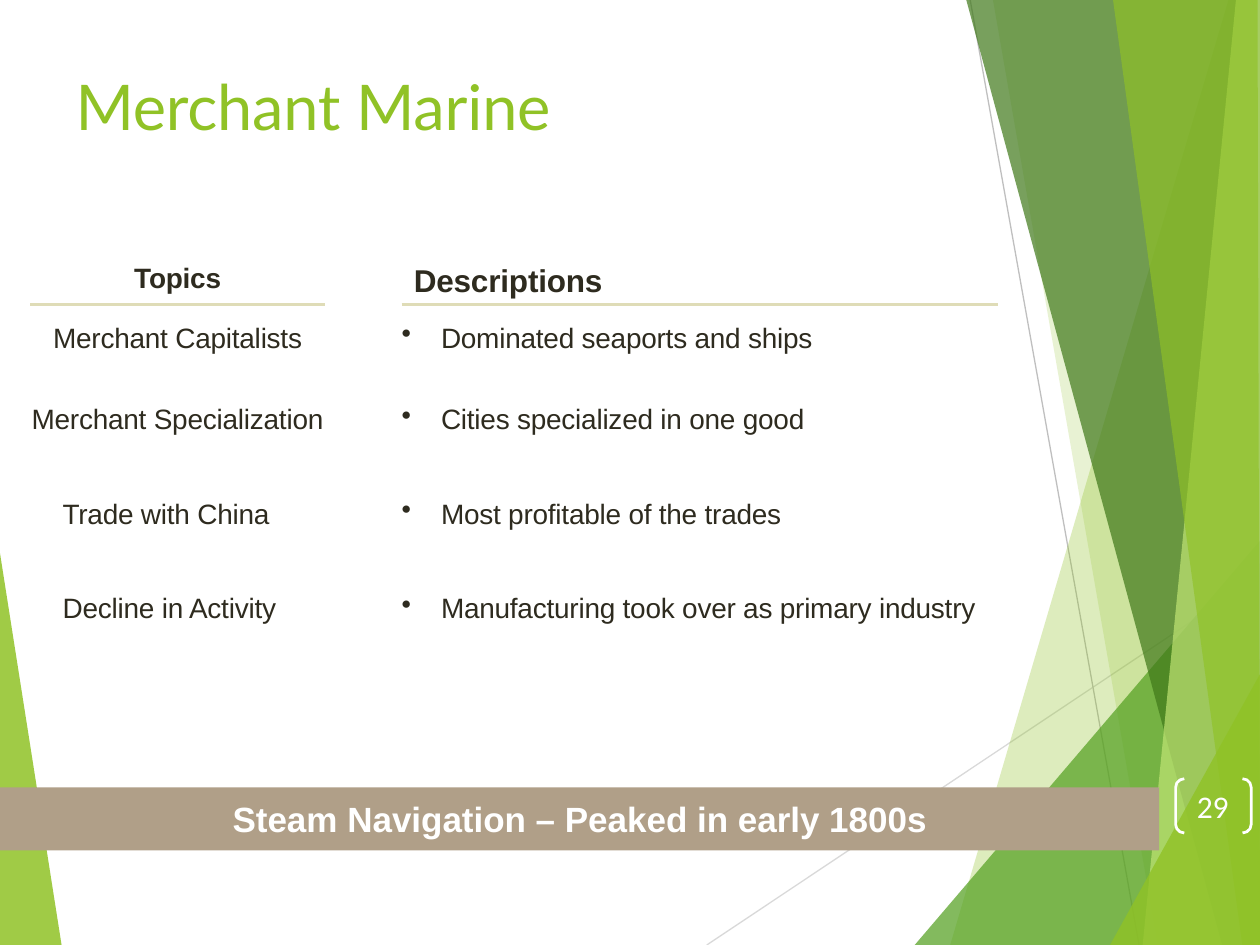
from collections import namedtuple
from dataclasses import dataclass

import pptx
import pptx.dml.color
import pptx.enum.shapes
import pptx.enum.text
import pptx.oxml.ns
import pptx.util
from lxml import etree

Pt = pptx.util.Pt
Rgb = pptx.dml.color.RGBColor.from_string
Align = pptx.enum.text.PP_ALIGN
Anchor = pptx.enum.text.MSO_ANCHOR
Shape = pptx.enum.shapes.MSO_SHAPE
Box = namedtuple("Box", "left top width height")


@dataclass(frozen=True)
class Theme:
    lime: str = "90C226"
    green: str = "54A021"
    forest: str = "3F7819"
    pale: str = "C0E474"
    ink: str = "2E2B1F"
    rule: str = "DFDCB7"
    bar: str = "B09F88"
    white: str = "FFFFFF"
    light_line: str = "D9D9D9"
    dark_line: str = "BFBFBF"
    title_font: str = "Lato"
    body_font: str = "Arial"
    number_font: str = "Calibri"
    title_size: int = 36
    bar_size: int = 20
    heading_size: int = 18
    body_size: int = 16


THEME = Theme()

# Outline points are relative to the slide box, in points.
FACETS = [
    ([(0, 316), (35.2, 540), (0, 540)], THEME.lime, 85),
    ([(702, 0), (543, 540), (720, 540), (720, 0)], THEME.lime, 30),
    ([(567.4, 0), (661.6, 540), (720, 540), (720, 0)], THEME.lime, 20),
    ([(522.7, 540), (720, 309), (720, 540)], THEME.green, 72),
    ([(552.2, 0), (698.4, 540), (720, 540), (720, 0)], THEME.forest, 70),
    ([(706.3, 0), (653, 540), (720, 540), (720, 0)], THEME.pale, 70),
    ([(636, 0), (709.9, 540), (720, 540), (718.6, 0)], THEME.lime, 65),
    ([(634.3, 540), (720, 385.2), (720, 540)], THEME.lime, 80),
]
STROKES = [
    ((403.9, 540), (720, 329), THEME.light_line),
    ((554.4, 0), (650.9, 540), THEME.dark_line),
]
# Each row: topic, topic alignment, description, row height.
ROWS = [
    ("Merchant Capitalists", Align.CENTER, "Dominated seaports and ships", 46.5),
    ("Merchant Specialization", Align.CENTER, "Cities specialized in one good", 54),
    ("Trade with China", Align.LEFT, "Most profitable of the trades", 54),
    ("Decline in Activity", Align.LEFT, "Manufacturing took over as primary industry", 54),
]


def apply(target, values):
    for name, value in values.items():
        setattr(target, name, value)


def write(shape, text, size, color=THEME.ink, font=THEME.body_font, bold=False,
          align=Align.LEFT, anchor=Anchor.TOP, inset_top=2, bullet_indent=0, spacing=-10):
    """Put one formatted paragraph in a shape; spacing is in hundredths of a point."""
    frame = shape.text_frame
    apply(frame, {"word_wrap": True, "vertical_anchor": anchor, "margin_left": 0,
                  "margin_right": 0, "margin_top": Pt(inset_top), "margin_bottom": 0})
    paragraph = frame.paragraphs[0]
    paragraph.alignment = align
    if bullet_indent:
        properties = paragraph._p.get_or_add_pPr()
        properties.set("marL", str(Pt(bullet_indent)))
        properties.set("indent", str(-Pt(bullet_indent)))
        etree.SubElement(properties, pptx.oxml.ns.qn("a:buChar")).set("char", "•")
    run = paragraph.add_run()
    run.text = text
    apply(run.font, {"name": font, "size": Pt(size), "bold": bold})
    run.font.color.rgb = Rgb(color)
    run._r.get_or_add_rPr().set("spc", str(spacing))


def add_text(slide, box, text, size, **options):
    write(slide.shapes.add_textbox(*map(Pt, box)), text, size, **options)


def add_line(slide, start, end, color, width):
    line = slide.shapes.add_connector(
        pptx.enum.shapes.MSO_CONNECTOR.STRAIGHT, *map(Pt, (*start, *end)))
    line.line.color.rgb = Rgb(color)
    line.line.width = Pt(width)
    etree.SubElement(line._element.spPr, pptx.oxml.ns.qn("a:effectLst"))


def fill_plain(shape, color):
    shape.shadow.inherit = False
    shape.fill.solid()
    shape.fill.fore_color.rgb = Rgb(color)
    shape.line.fill.background()


def add_facet(slide, points, color, opacity):
    corners = [tuple(map(Pt, point)) for point in points]
    builder = slide.shapes.build_freeform(*corners[0], scale=1.0)
    builder.add_line_segments(corners[1:], close=True)
    facet = builder.convert_to_shape()
    fill_plain(facet, color)
    color_element = facet._element.spPr.find(".//" + pptx.oxml.ns.qn("a:srgbClr"))
    etree.SubElement(color_element, pptx.oxml.ns.qn("a:alpha")).set("val", str(opacity * 1000))


def draw_backdrop(slide, box):
    def place(point):
        return box.left + point[0], box.top + point[1]

    def draw_facet(points, color, opacity):
        add_facet(slide, [place(point) for point in points], color, opacity)

    draw_facet(*FACETS[0])
    for start, end, color in STROKES:
        add_line(slide, place(start), place(end), color, 0.75)
    for facet in FACETS[1:]:
        draw_facet(*facet)


def draw_title(slide, box):
    add_text(slide, box, "Merchant Marine", THEME.title_size,
             color=THEME.lime, font=THEME.title_font)


def draw_topics(slide, box):
    """Two ruled columns: topics on the left, bulleted descriptions on the right."""
    topic_width, overhang, line_height = 168.5, 6, 21
    left, top = box.left, box.top
    description_left = left + 212.2
    right = left + box.width
    topic_box = Box(left - overhang, top, topic_width + 2 * overhang, line_height)
    add_text(slide, topic_box, "Topics", THEME.body_size, bold=True, align=Align.CENTER)
    add_text(slide, (description_left + 7, top, 111, 24), "Descriptions",
             THEME.heading_size, bold=True)
    rule_top = top + 27
    for start, end in ((left, left + topic_width), (description_left, right)):
        add_line(slide, (start, rule_top), (end, rule_top), THEME.rule, 2)
    row_top = top + 34
    for topic, align, description, height in ROWS:
        row_box = topic_box._replace(top=row_top)
        if align == Align.LEFT:
            row_box = row_box._replace(left=left + 18.5, width=topic_width - 18.5)
        add_text(slide, row_box, topic, THEME.body_size, align=align)
        add_text(slide, (description_left, row_top, right - description_left, line_height),
                 description, THEME.body_size, bullet_indent=22.5)
        row_top += height


def draw_summary_bar(slide, box):
    bar = slide.shapes.add_shape(Shape.RECTANGLE, *map(Pt, box))
    fill_plain(bar, THEME.bar)
    write(bar, "Steam Navigation – Peaked in early 1800s", THEME.bar_size, color=THEME.white,
          bold=True, align=Align.CENTER, anchor=Anchor.MIDDLE, inset_top=0, spacing=-3)


def draw_page_number(slide, box):
    bracket = slide.shapes.add_shape(Shape.DOUBLE_BRACKET, *map(Pt, box))
    bracket.adjustments[0] = 0.16
    bracket.shadow.inherit = False
    bracket.fill.background()
    bracket.line.color.rgb = Rgb(THEME.white)
    bracket.line.width = Pt(1.56)
    add_text(slide, (box.left + 12.2, box.top + 5, box.width - 14, 22), "29",
             THEME.heading_size, color=THEME.white, font=THEME.number_font, inset_top=0)


def main():
    presentation = pptx.Presentation()
    presentation.slide_width, presentation.slide_height = Pt(720), Pt(540)
    slide = presentation.slides.add_slide(presentation.slide_layouts[6])
    draw_backdrop(slide, Box(0, 0, 720, 540))
    draw_title(slide, Box(43.2, 36.7, 347, 57))
    draw_topics(slide, Box(17.3, 147, 553, 210))
    draw_summary_bar(slide, Box(0, 450, 662.4, 36))
    draw_page_number(slide, Box(671.8, 445, 43.2, 31))
    presentation.save("out.pptx")


if __name__ == "__main__":
    main()
